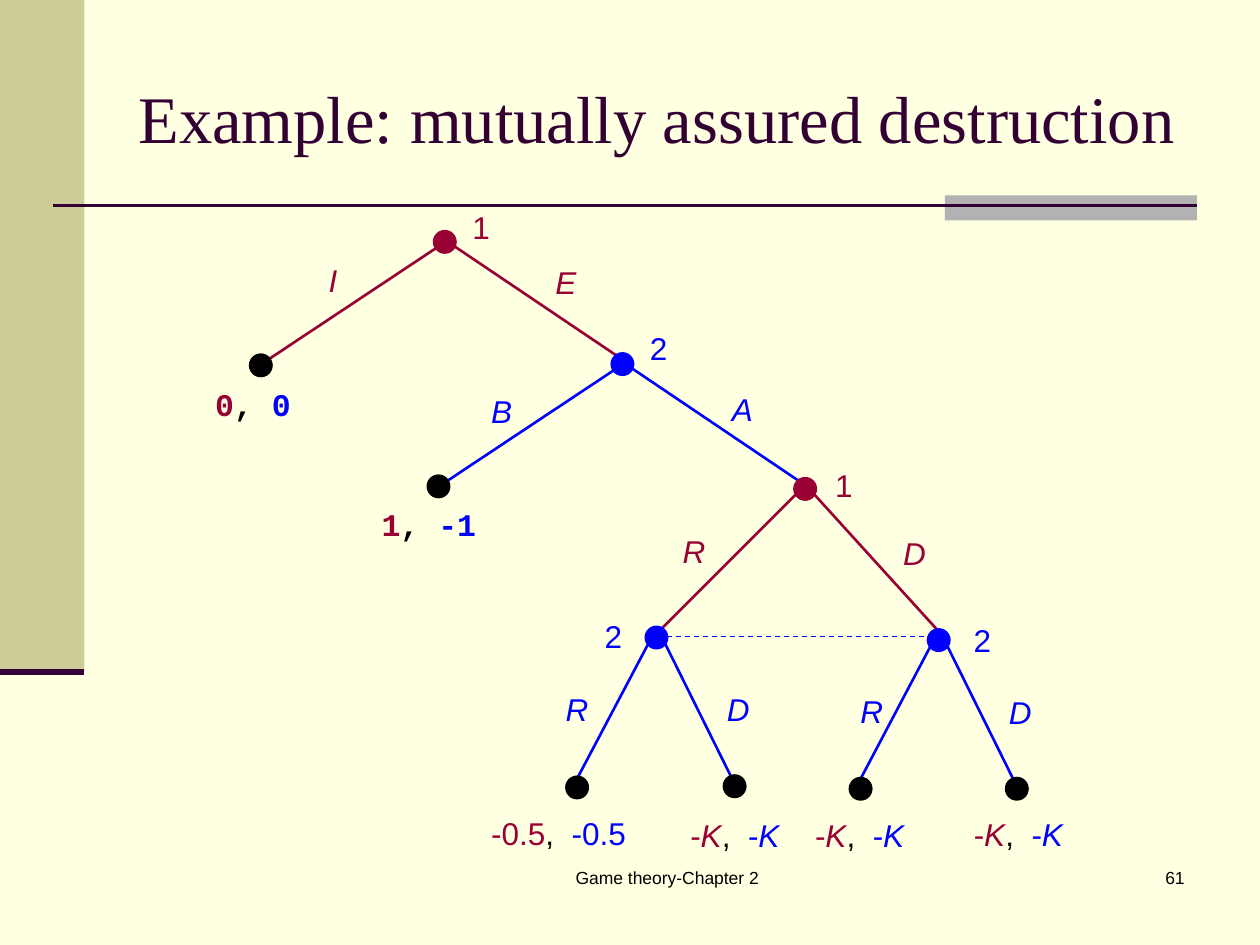
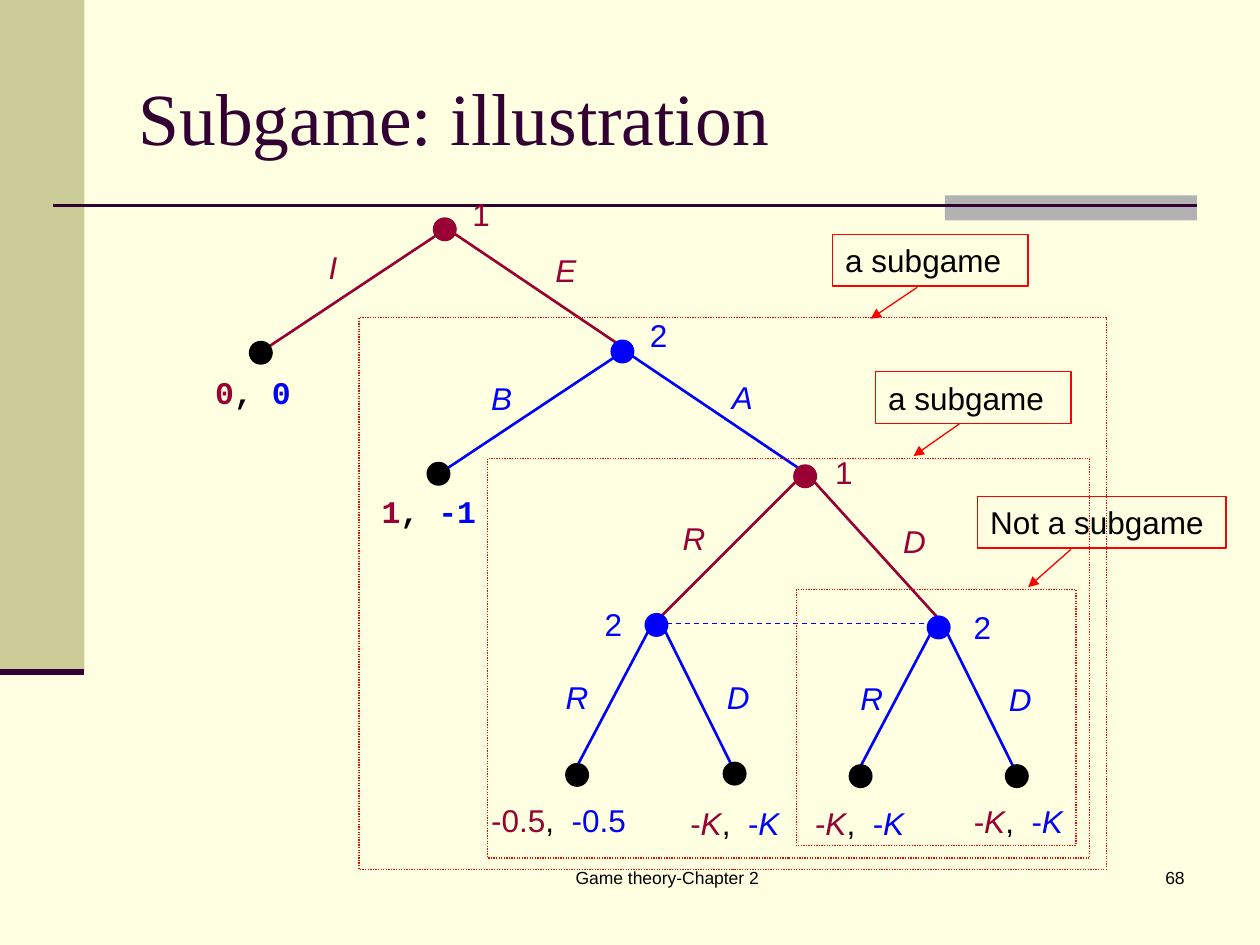
from itertools import groupby

from lxml import etree
from pptx import Presentation
from pptx import util as u
from pptx.dml.color import RGBColor
from pptx.enum import dml, shapes, text
from pptx.oxml.ns import qn

PAPER, OLIVE, GREY, PLUM = "FFFFE1", "CCCC99", "B2B2B2", "330033"
BLACK, RED, ONE, TWO = "000000", "FF0000", "990033", "0000FF"
PLAYER = {"1": ONE, "2": TWO}
DASH, DOT = dml.MSO_LINE.DASH, dml.MSO_LINE.ROUND_DOT
LEFT, CENTER, RIGHT = text.PP_ALIGN.LEFT, text.PP_ALIGN.CENTER, text.PP_ALIGN.RIGHT

WIDE = [(-0.07, 0.05, -1.41, 0.94), (0.07, 0.03, 1.39, 0.92)]
MIDDLE = [(-0.07, 0.04, -1.16, 1.13), (0.06, 0.03, 1.05, 1.12)]
NARROW = [(-0.06, 0.04, -0.64, 1.14), (0.06, 0.03, 0.59, 1.1)]

FORKS = [
    ("1", 3.53, 1.92, WIDE, (3.65, 1.6), [("I", 2.51, 2.02), ("E", 4.31, 2.04)]),
    ("2", 4.94, 2.89, WIDE, (5.06, 2.56), [("B", 3.8, 3.06), ("A", 5.71, 3.05)]),
    ("1", 6.39, 3.88, MIDDLE, (6.53, 3.65), [("R", 5.32, 4.17), ("D", 7.07, 4.19)]),
    ("2", 5.21, 5.06, NARROW, (4.7, 4.85), [("R", 4.39, 5.43), ("D", 5.67, 5.43)]),
    ("2", 7.45, 5.08, NARROW, (7.63, 4.88), [("R", 6.73, 5.44), ("D", 7.91, 5.45)]),
]
LEAVES = [(2.07, 2.9), (3.48, 3.86), (4.58, 6.25), (5.83, 6.24), (6.83, 6.26), (8.07, 6.26)]
BOLD_PAYOFFS = [("0", "0", 1.61, 3.01), ("1", "-1", 2.93, 3.96)]
PAYOFFS = [
    ("-0.5", "-0.5", 3.8, 6.41),
    ("-K", "-K", 5.38, 6.43),
    ("-K", "-K", 6.37, 6.43),
    ("-K", "-K", 7.63, 6.42),
]
SUBGAME_FRAMES = [(3.87, 3.64, 4.78, 3.17), (2.85, 2.52, 5.93, 4.38), (6.32, 4.68, 2.22, 2.03)]
CALLOUTS = [
    ("a subgame", 6.95, 2.95, 1.55, (7.62, 3.36, 7.25, 3.62)),
    ("a subgame", 6.61, 1.86, 1.55, (7.28, 2.28, 6.91, 2.53)),
    ("Not a subgame", 7.76, 3.94, 1.97, (8.5, 4.36, 8.16, 4.66)),
]


def rgb(value):
    return RGBColor.from_string(value)


def lengths(*values):
    return [u.Inches(v) for v in values]


class Deck:
    """Holds the shared style and the slide being drawn."""

    def __init__(self):
        self.prs = Presentation()
        self.prs.slide_width, self.prs.slide_height = lengths(10, 7.5)
        fill = self.prs.slide_master.background.fill
        fill.solid()
        fill.fore_color.rgb = rgb(PAPER)
        self.s = None

    def new_slide(self, title, size, number):
        self.s = self.prs.slides.add_slide(self.prs.slide_layouts[5])
        self.shape((0, 0, 0.67, 5.33), fill=OLIVE)
        self.shape((7.5, 1.55, 2, 0.2), fill=GREY)
        self.line((0.42, 1.63, 9.5, 1.63), PLUM)
        self.line((0, 5.33, 0.67, 5.33), PLUM, 3.5)
        self.label((3.67, 6.83, 3.25, 0.5), [("Game theory-Chapter 2", BLACK)], CENTER, size=10)
        self.label((7.42, 6.83, 2.08, 0.5), [(number, BLACK)], RIGHT, size=10)
        sp = self.s.shapes.title
        sp.left, sp.top, sp.width, sp.height = lengths(1, 0.3, 8.5, 1.25)
        sp.text_frame.auto_size = text.MSO_AUTO_SIZE.NONE
        sp.text_frame.vertical_anchor = text.MSO_ANCHOR.MIDDLE
        self.add_words(sp, [(title, PLUM)], LEFT, name="Times New Roman", size=size)

    def add_words(self, sp, parts, align=LEFT, **formats):
        tf = sp.text_frame
        tf.word_wrap = True
        p = tf.paragraphs[0]
        p.alignment = align
        for words, color, *italic in parts:
            r = p.add_run()
            r.text = words
            look = {"name": "Arial", "size": 18, "italic": bool(italic and italic[0])} | formats
            look["size"] = u.Pt(look["size"])
            for key, value in look.items():
                setattr(r.font, key, value)
            r.font.color.rgb = rgb(color)

    def label(self, box, parts, align=LEFT, **formats):
        self.add_words(self.s.shapes.add_textbox(*lengths(*box)), parts, align, **formats)

    def shape(self, box, fill=None, line=None, dash=None, kind=shapes.MSO_SHAPE.RECTANGLE):
        sp = self.s.shapes.add_shape(kind, *lengths(*box))
        sp.shadow.inherit = False
        if fill:
            sp.fill.solid()
            sp.fill.fore_color.rgb = rgb(fill)
        else:
            sp.fill.background()
        if line:
            self.stroke(sp.line, line, 0.75, dash)
        else:
            sp.line.fill.background()
        return sp

    def stroke(self, line, color, width, dash):
        line.color.rgb = rgb(color)
        line.width = u.Pt(width)
        if dash:
            line.dash_style = dash

    def line(self, ends, color, width=1.5, dash=None, arrow=False):
        sp = self.s.shapes.add_connector(shapes.MSO_CONNECTOR.STRAIGHT, *lengths(*ends))
        self.stroke(sp.line, color, width, dash)
        sp_pr = sp._element.spPr
        if arrow:
            etree.SubElement(sp_pr.get_or_add_ln(), qn("a:tailEnd"), type="triangle")
        etree.SubElement(sp_pr, qn("a:effectLst"))

    def node(self, x, y, color):
        self.shape((x - 0.09, y - 0.09, 0.18, 0.18), color, color, kind=shapes.MSO_SHAPE.OVAL)

    def payoff(self, first, second, x, y, gap, **formats):
        parts = []
        for words, color in ((first, ONE), (gap, BLACK), (second, TWO)):
            for italic, letters in groupby(words, str.isalpha):
                parts.append(("".join(letters), color, italic))
        self.label((x, y, 1.29, 0.4), parts, **formats)

    def game_tree(self, dy=0):
        for player, x, y, branches, (px, py), moves in FORKS:
            color = PLAYER[player]
            self.node(x, y + dy, color)
            self.label((px, py + dy, 0.46, 0.4), [(player, color)])
            for (x1, y1, x2, y2), (move, mx, my) in zip(branches, moves):
                self.line((x + x1, y + y1 + dy, x + x2, y + y2 + dy), color)
                self.label((mx, my + dy, 0.47, 0.4), [(move, color, True)])
        self.line((5.29, 5.05 + dy, 7.39, 5.05 + dy), TWO, 0.75, DASH)
        for x, y in LEAVES:
            self.node(x, y + dy, BLACK)
        for first, second, x, y in BOLD_PAYOFFS:
            self.payoff(first, second, x, y + dy, ", ", name="Courier New", bold=True)
        for first, second, x, y in PAYOFFS:
            self.payoff(first, second, x, y + dy, ",  ")

    def callout(self, words, x, y, width, ends):
        sp = self.shape((x, y, width, 0.41), line=RED)
        self.add_words(sp, [(words, BLACK)])
        self.line(ends, RED, 0.75, arrow=True)


def main():
    deck = Deck()
    deck.new_slide("Example: mutually assured destruction", 38, "61")
    deck.game_tree()

    deck.new_slide("Subgame: illustration", 42, "68")
    deck.game_tree(dy=-0.1)
    for frame in SUBGAME_FRAMES:
        deck.shape(frame, line=RED, dash=DOT)
    for callout in CALLOUTS:
        deck.callout(*callout)
    deck.prs.save("out.pptx")


if __name__ == "__main__":
    main()
